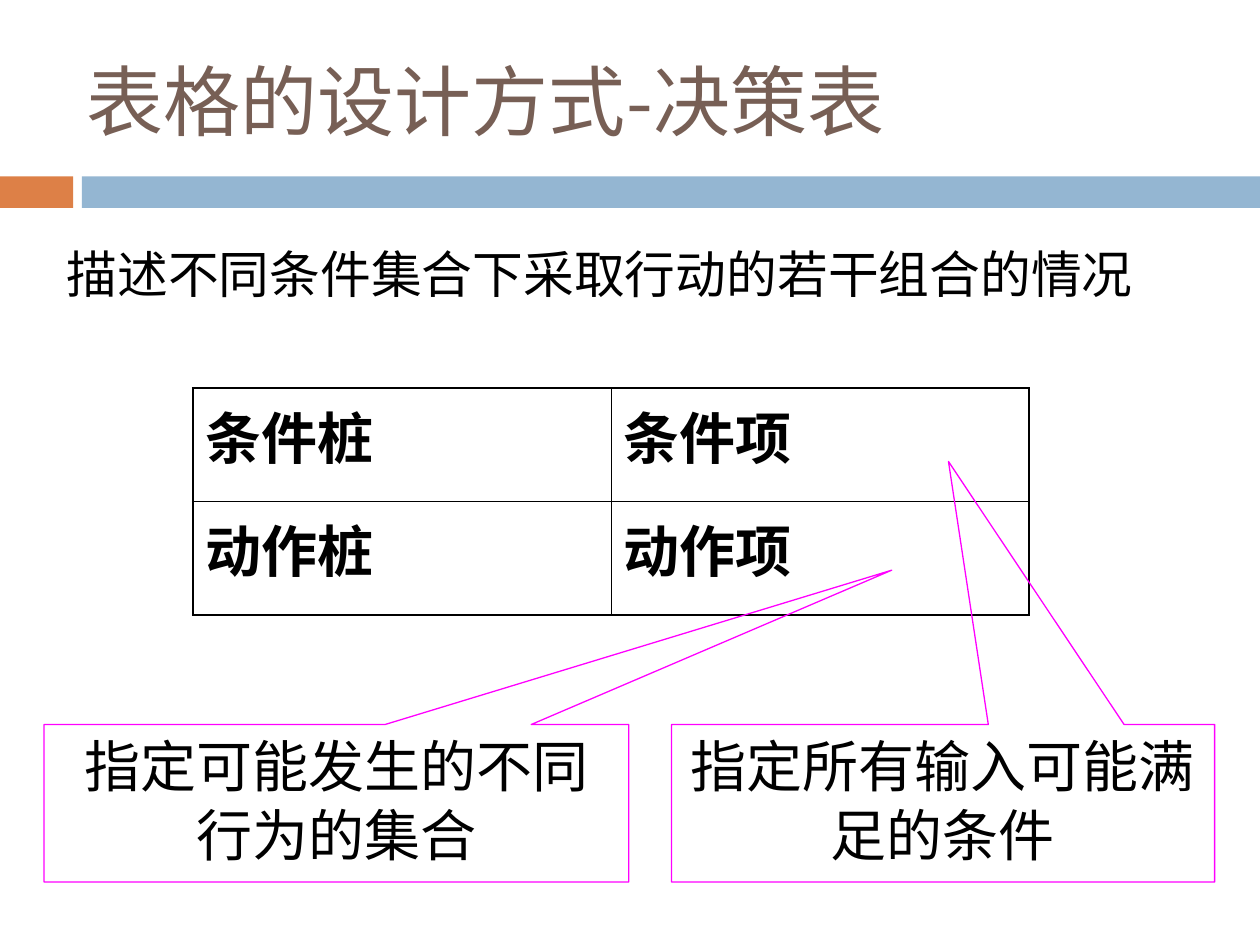
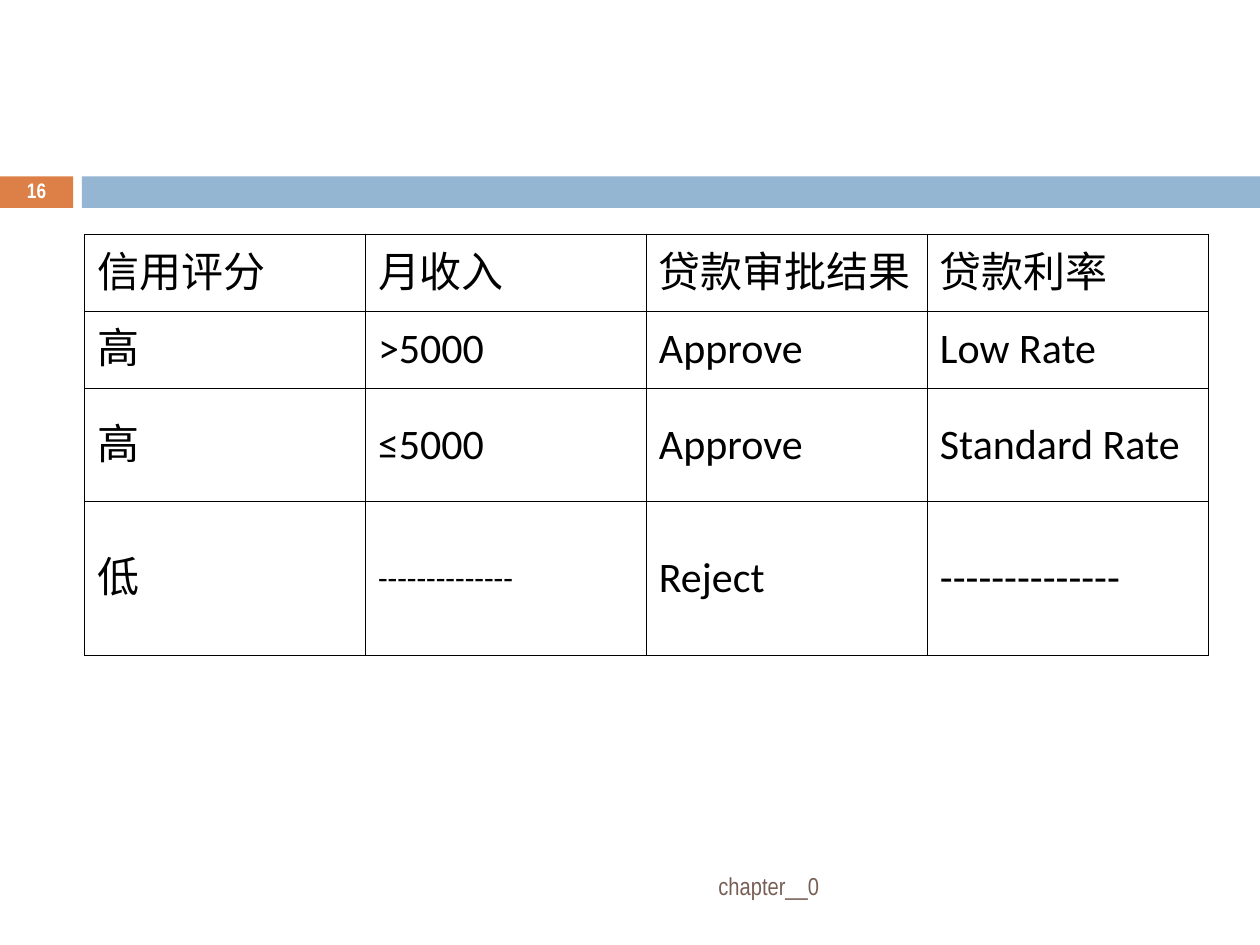
from dataclasses import dataclass

from lxml import etree
from pptx import Presentation
from pptx.dml.color import RGBColor
from pptx.enum.shapes import MSO_SHAPE
from pptx.enum.text import MSO_ANCHOR, PP_ALIGN
from pptx.oxml.ns import qn
from pptx.util import Inches, Pt

RECT, CALLOUT = MSO_SHAPE.RECTANGLE, MSO_SHAPE.RECTANGULAR_CALLOUT
TOP, MIDDLE = MSO_ANCHOR.TOP, MSO_ANCHOR.MIDDLE
LEFT, CENTER, RIGHT = PP_ALIGN.LEFT, PP_ALIGN.CENTER, PP_ALIGN.RIGHT
TITLE_ONLY, BLANK = 5, 6
WIDTH, HEIGHT = 10, 7.5


@dataclass(frozen=True)
class Theme:
    orange: str = "DD8047"
    blue: str = "94B6D2"
    brown: str = "775F55"
    magenta: str = "FF00FF"
    black: str = "000000"
    white: str = "FFFFFF"
    title_font: str = "Noto Sans CJK SC"
    body_font: str = "Noto Sans CJK JP"
    table_font: str = "Calibri"
    narrow_font: str = "Arial Narrow"
    title_size: int = 44
    statement_size: int = 29
    heading_size: int = 32
    cell_size: int = 24
    dash_size: int = 18
    footer_size: int = 14
    number_size: int = 12
    thin: float = 0.45
    thick: float = 1.08
    callout_line: float = 0.75


THEME = Theme()
BAND_TOP, BAND_HEIGHT = 1.4, 0.25
NUMBER_WIDTH, BAND_LEFT = 0.58, 0.65


def inches(*lengths):
    return [Inches(length) for length in lengths]


def write(frame, text, font=THEME.body_font, size=THEME.cell_size, color=THEME.black,
          bold=False, align=LEFT, anchor=TOP, spacing=None):
    """Fill a frame with one paragraph; text is a string or (string, font) pairs."""
    frame.word_wrap = True
    frame.vertical_anchor = anchor
    paragraph = frame.paragraphs[0]
    paragraph.alignment = align
    paragraph.line_spacing = spacing
    for words, typeface in [(text, font)] if isinstance(text, str) else text:
        run = paragraph.add_run()
        run.text = words
        run.font.size = Pt(size)
        run.font.bold = bold
        run.font.color.rgb = RGBColor.from_string(color)
        run.font.name = typeface
        etree.SubElement(run.font._element, qn("a:ea"), typeface=typeface)


def add_text(slide, box, text, **style):
    write(slide.shapes.add_textbox(*inches(*box)).text_frame, text, **style)


def add_band(slide, left, width, color):
    band = slide.shapes.add_shape(RECT, *inches(left, BAND_TOP, width, BAND_HEIGHT))
    band.shadow.inherit = False
    band.fill.solid()
    band.fill.fore_color.rgb = RGBColor.from_string(color)
    band.line.fill.background()


def new_slide(deck, layout):
    """Add a slide with the two-part band that every slide carries."""
    slide = deck.slides.add_slide(deck.slide_layouts[layout])
    add_band(slide, 0, NUMBER_WIDTH, THEME.orange)
    add_band(slide, BAND_LEFT, WIDTH - BAND_LEFT, THEME.blue)
    return slide


def set_title(slide, box, runs):
    title = slide.shapes.title
    title.left, title.top, title.width, title.height = inches(*box)
    write(title.text_frame, runs, size=THEME.title_size, color=THEME.brown,
          spacing=Pt(53))


def add_callout(slide, box, tip, text):
    """Draw a callout; tip is its offset from the centre in shares of its size."""
    callout = slide.shapes.add_shape(CALLOUT, *inches(*box))
    callout.adjustments[0], callout.adjustments[1] = tip
    callout.shadow.inherit = False
    callout.fill.background()
    callout.line.color.rgb = RGBColor.from_string(THEME.magenta)
    callout.line.width = Pt(THEME.callout_line)
    write(callout.text_frame, text, size=THEME.heading_size, align=CENTER,
          spacing=Pt(39))


def set_border(cell, side, width):
    line = etree.SubElement(cell._tc.get_or_add_tcPr(), qn(f"a:ln{side}"),
                            w=str(Pt(width)))
    fill = etree.SubElement(line, qn("a:solidFill"))
    etree.SubElement(fill, qn("a:srgbClr"), val=THEME.black)


def add_grid(slide, left, top, column_width, row_heights, rows, outer,
             margin_top=0.05, **style):
    """Draw an unfilled table; a cell is a string or (string, size)."""
    columns = len(rows[0])
    frame = slide.shapes.add_table(
        len(rows), columns,
        *inches(left, top, columns * column_width, sum(row_heights)))
    table = frame.table
    table.first_row = table.horz_banding = False
    for column in table.columns:
        column.width = Inches(column_width)
    for r, (height, row) in enumerate(zip(row_heights, rows)):
        table.rows[r].height = Inches(height)
        for c, content in enumerate(row):
            cell = table.cell(r, c)
            edges = {"L": c == 0, "R": c == columns - 1,
                     "T": r == 0, "B": r == len(rows) - 1}
            for side, is_outer in edges.items():
                set_border(cell, side, outer if is_outer else THEME.thin)
            cell.fill.background()
            text, size = (content, style["size"]) if isinstance(content, str) else content
            write(cell.text_frame, text, **{**style, "size": size})
            cell.vertical_anchor = style.get("anchor", TOP)
            cell.margin_top = Inches(margin_top)


def decision_table_slide(deck):
    slide = new_slide(deck, TITLE_ONLY)
    set_title(slide, (0.59, 0.37, 0.85 * WIDTH, 1.25),
              [("表格的设计方式-", THEME.title_font), ("决策表", THEME.table_font)])
    add_text(slide, (0.43, 1.88, 9.37, 1.01), "描述不同条件集合下采取行动的若干组合的情况",
             size=THEME.statement_size, spacing=Pt(34.5))
    add_grid(slide, 1.53, 3.08, 3.32, [0.9] * 2,
             [["条件桩", "条件项"], ["动作桩", "动作项"]], THEME.thick, margin_top=0.24,
             font=THEME.narrow_font, size=THEME.heading_size, bold=True)
    callout_top, callout_height = 5.75, HEIGHT / 6
    add_callout(slide, (5.33, callout_top, 4.31, callout_height), (0.01, -2.17),
                "指定所有输入可能满足的条件")
    add_callout(slide, (0.35, callout_top, 4.64, callout_height), (0.95, -1.48),
                "指定可能发生的不同行为的集合")


def loan_rules_slide(deck):
    slide = new_slide(deck, BLANK)
    dashes = "-" * 14
    rules = [
        ["信用评分", "月收入", "贷款审批结果", "贷款利率"],
        ["高", ">5000", "Approve", "Low Rate"],
        ["高", "≤5000", "Approve", "Standard Rate"],
        ["低", (dashes, THEME.dash_size), "Reject", dashes],
    ]
    add_grid(slide, 0.67, 1.86, 2.23, [0.61, 0.61, 0.9, 1.22], rules, THEME.thin,
             font=THEME.table_font, size=THEME.cell_size, anchor=MIDDLE)
    add_text(slide, (0.67, 6.83, 5.93, 0.4), "chapter__0", font=THEME.narrow_font,
             size=THEME.footer_size, color=THEME.brown, align=RIGHT, anchor=MIDDLE)
    add_text(slide, (0, 1.39, NUMBER_WIDTH, 0.27), "16", font=THEME.narrow_font,
             size=THEME.number_size, color=THEME.white, bold=True, align=CENTER,
             anchor=MIDDLE, spacing=0.8)


def main():
    deck = Presentation()
    deck.slide_width, deck.slide_height = inches(WIDTH, HEIGHT)
    decision_table_slide(deck)
    loan_rules_slide(deck)
    deck.save("out.pptx")


if __name__ == "__main__":
    main()
